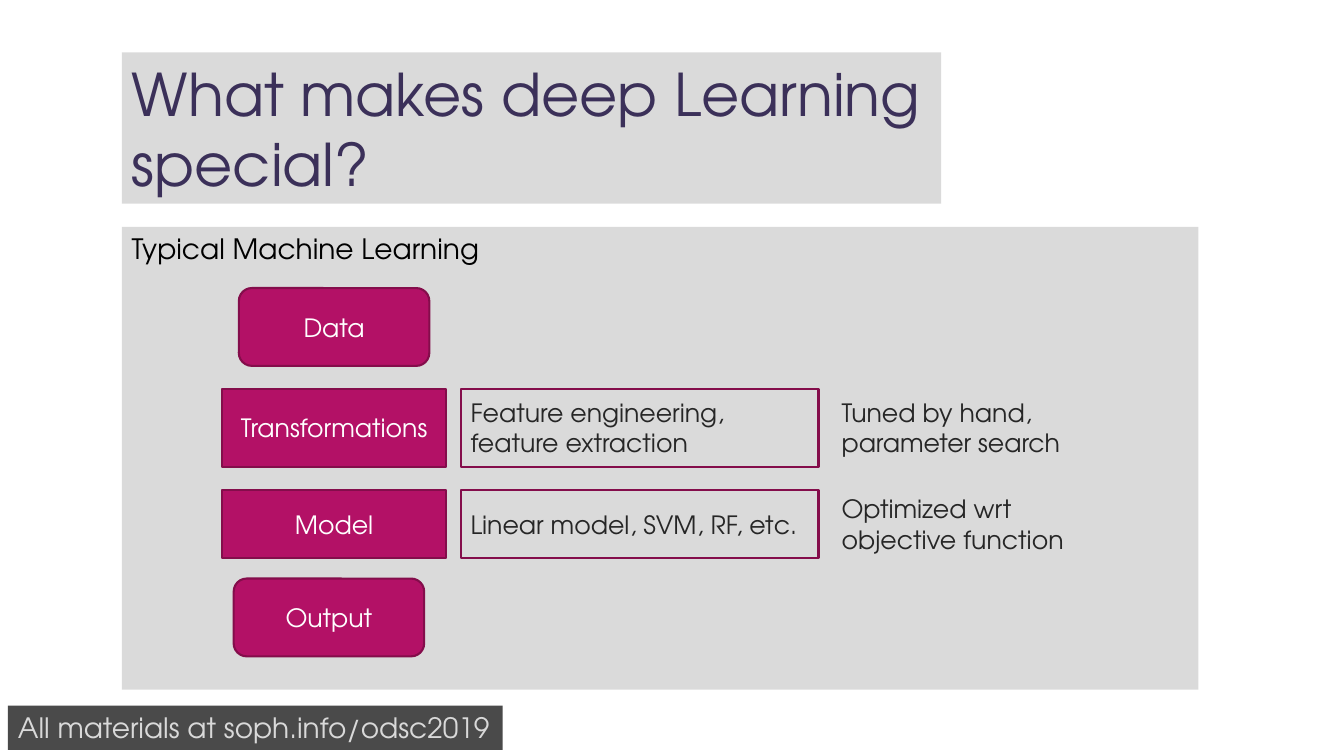
"""Build a slide on the steps of typical machine learning."""
from lxml.etree import SubElement
from pptx import Presentation
from pptx.dml.color import RGBColor
from pptx.enum.shapes import MSO_SHAPE
from pptx.enum.text import MSO_ANCHOR, MSO_AUTO_SIZE, PP_ALIGN
from pptx.oxml.ns import qn
from pptx.util import Cm, Pt

FONT = "TeX Gyre Adventor"
COLORS = {
    "panel": "D9D9D9",
    "dark": "262626",
    "magenta": "B31166",
    "border": "840D4B",
    "title": "3B3059",
    "black": "000000",
    "white": "FFFFFF",
}


def paint(shape, fill=None, opacity=100, line=None):
    if fill:
        shape.fill.solid()
        shape.fill.fore_color.rgb = RGBColor.from_string(COLORS[fill])
        if opacity < 100:
            color = shape.element.spPr.find(qn("a:solidFill"))[0]
            SubElement(color, qn("a:alpha"), val=str(opacity * 1000))
    else:
        shape.fill.background()
    if line:
        shape.line.color.rgb = RGBColor.from_string(COLORS[line])
        shape.line.width = Pt(1.5)
    else:
        shape.line.fill.background()


def write(shape, text, size=18, color="dark", align=PP_ALIGN.LEFT,
          anchor=MSO_ANCHOR.MIDDLE, wrap=True):
    frame = shape.text_frame
    frame.auto_size = MSO_AUTO_SIZE.NONE
    frame.word_wrap = wrap
    frame.vertical_anchor = anchor
    paragraph = frame.paragraphs[0]
    paragraph.alignment = align
    run = paragraph.add_run()
    run.text = text
    run.font.name = FONT
    run.font.size = Pt(size)
    run.font.color.rgb = RGBColor.from_string(COLORS[color])


presentation = Presentation()
presentation.slide_width = Cm(33.87)
presentation.slide_height = Cm(19.05)
slide = presentation.slides.add_slide(presentation.slide_layouts[5])
shapes = slide.shapes

title = shapes.title
title.left, title.top, title.width, title.height = Cm(3.07), Cm(1.32), Cm(20.65), Cm(3.81)
paint(title, "panel", opacity=95)
write(title, "What makes deep Learning special?", size=42, color="title")

footer = shapes.add_shape(MSO_SHAPE.RECTANGLE, Cm(0.2), Cm(17.78), Cm(12.47), Cm(1.12))
footer.shadow.inherit = False
paint(footer, "dark", opacity=83)
write(footer, "All materials at soph.info/odsc2019", size=20, color="panel",
      anchor=MSO_ANCHOR.TOP, wrap=False)

panel = shapes.add_shape(MSO_SHAPE.RECTANGLE, Cm(3.07), Cm(5.72), Cm(27.13), Cm(11.66))
panel.shadow.inherit = False
paint(panel, "panel", opacity=95)
write(panel, "Typical Machine Learning", size=20, color="black", anchor=MSO_ANCHOR.TOP)

steps = [
    ("Data", MSO_SHAPE.ROUNDED_RECTANGLE, 6.02, 7.26, 4.8, 1.96),
    ("Transformations", MSO_SHAPE.RECTANGLE, 5.59, 9.8, 5.66, 1.96),
    ("Model", MSO_SHAPE.RECTANGLE, 5.59, 12.34, 5.66, 1.73),
    ("Output", MSO_SHAPE.ROUNDED_RECTANGLE, 5.89, 14.58, 4.8, 1.96),
]
for label, outline, left, top, width, height in steps:
    step = shapes.add_shape(outline, Cm(left), Cm(top), Cm(width), Cm(height))
    step.shadow.inherit = False
    paint(step, "magenta", line="border")
    write(step, label, color="white", align=PP_ALIGN.CENTER)

explanations = [
    ("Feature engineering, feature extraction", "Tuned by hand, parameter search", 9.8, 1.96),
    ("Linear model, SVM, RF, etc.", "Optimized wrt objective function", 12.34, 1.73),
]
for example, tuning, top, height in explanations:
    example_box = shapes.add_shape(MSO_SHAPE.RECTANGLE, Cm(11.61), Cm(top), Cm(9.02), Cm(height))
    example_box.shadow.inherit = False
    paint(example_box, line="border")
    write(example_box, example)
    tuning_box = shapes.add_textbox(Cm(20.96), Cm(top), Cm(7.7), Cm(height))
    write(tuning_box, tuning)

presentation.save("out.pptx")
